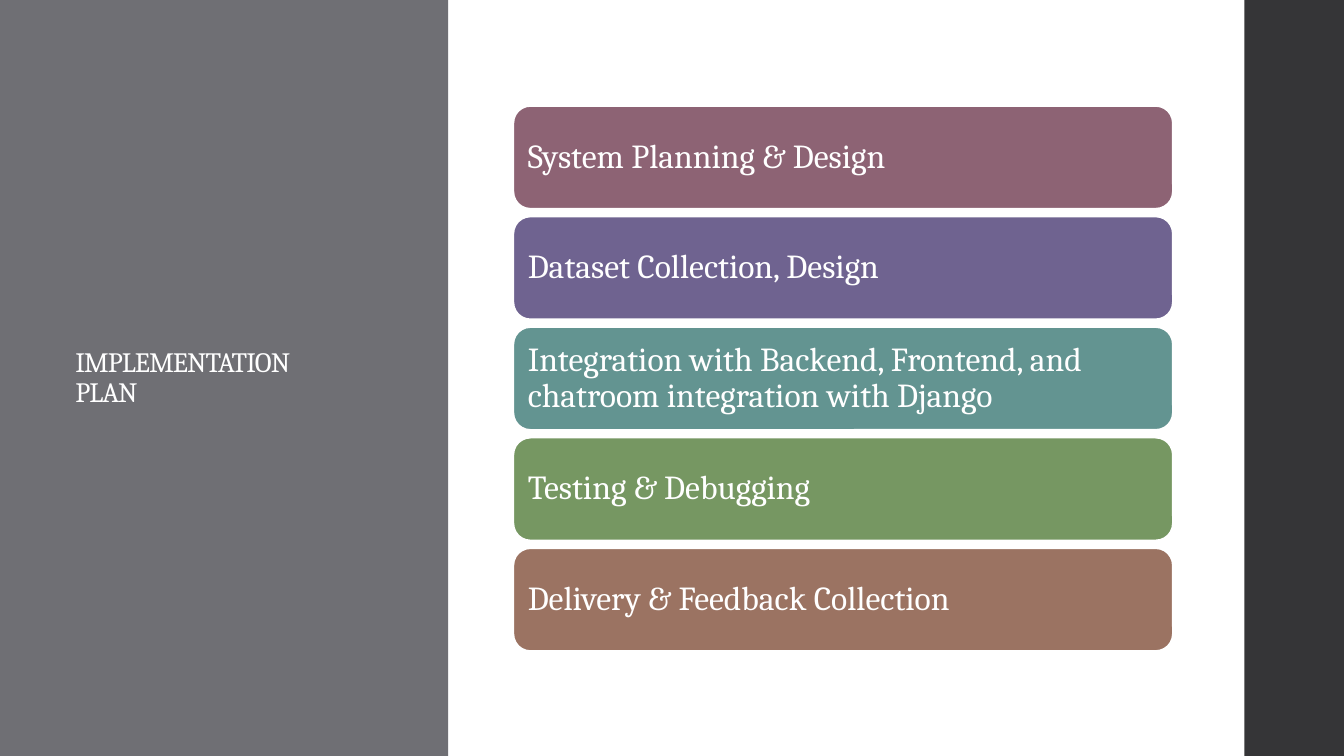
import pptx
import pptx.dml.color
import pptx.enum.shapes
import pptx.enum.text
import pptx.util
from dataclasses import dataclass
from pptx.util import Cm


@dataclass(frozen=True)
class Theme:
    font: str = "Cambria"
    white: str = "FFFFFF"
    title_panel: str = "6F6F74"
    side_strip: str = "353537"
    title_size: float = 15
    step_size: float = 18
    line_width: float = 1.1


theme = Theme()
STEPS = [
    ("System Planning & Design", "8D6374"),
    ("Dataset Collection, Design", "6F6390"),
    ("Integration with Backend, Frontend, and chatroom integration with Django", "639491"),
    ("Testing & Debugging", "769762"),
    ("Delivery & Feedback Collection", "9B7362"),
]


def add_block(slide, kind, left, top, width, height, color):
    shape = slide.shapes.add_shape(kind, left, top, width, height)
    shape.shadow.inherit = False
    shape.fill.solid()
    shape.fill.fore_color.rgb = pptx.dml.color.RGBColor.from_string(color)
    shape.line.fill.background()
    return shape


def write_text(shape, text, size):
    frame = shape.text_frame
    frame.word_wrap = True
    frame.auto_size = pptx.enum.text.MSO_AUTO_SIZE.NONE
    frame.vertical_anchor = pptx.enum.text.MSO_ANCHOR.MIDDLE
    paragraph = frame.paragraphs[0]
    paragraph.alignment = pptx.enum.text.PP_ALIGN.LEFT
    paragraph.line_spacing = 0.9
    run = paragraph.add_run()
    run.text = text
    run.font.name = theme.font
    run.font.size = pptx.util.Pt(size)
    run.font.color.rgb = pptx.dml.color.RGBColor.from_string(theme.white)
    return run


presentation = pptx.Presentation()
presentation.slide_width = Cm(25.4)
presentation.slide_height = Cm(14.29)
slide = presentation.slides.add_slide(presentation.slide_layouts[5])
slide.background.fill.solid()
slide.background.fill.fore_color.rgb = pptx.dml.color.RGBColor.from_string(theme.white)

# Title panel on the left, kept behind the title
rectangle = pptx.enum.shapes.MSO_SHAPE.RECTANGLE
title_panel = add_block(slide, rectangle, 0, 0, Cm(8.47),
                        presentation.slide_height, theme.title_panel)
title = slide.shapes.title
title.element.addprevious(title_panel.element)
title.left, title.top, title.width, title.height = Cm(1.17), Cm(1.75), Cm(5.66), Cm(10.8)
title_run = write_text(title, "IMPLEMENTATION PLAN", theme.title_size)
title_run.font._element.set("spc", "-50")

# Dark strip along the right edge
strip_left = Cm(23.52)
add_block(slide, rectangle, strip_left, 0, presentation.slide_width - strip_left,
          presentation.slide_height, theme.side_strip)

# Plan steps, evenly stacked
first_top, pitch = Cm(2), Cm(2.09)
for index, (text, color) in enumerate(STEPS):
    step = add_block(slide, pptx.enum.shapes.MSO_SHAPE.ROUNDED_RECTANGLE,
                     Cm(9.7), first_top + index * pitch, Cm(12.47), Cm(1.95), color)
    step.line.color.rgb = pptx.dml.color.RGBColor.from_string(theme.white)
    step.line.width = pptx.util.Pt(theme.line_width)
    frame = step.text_frame
    frame.margin_left = frame.margin_right = Cm(0.18)
    frame.margin_top = frame.margin_bottom = Cm(0.18)
    write_text(step, text, theme.step_size)

presentation.save("out.pptx")
